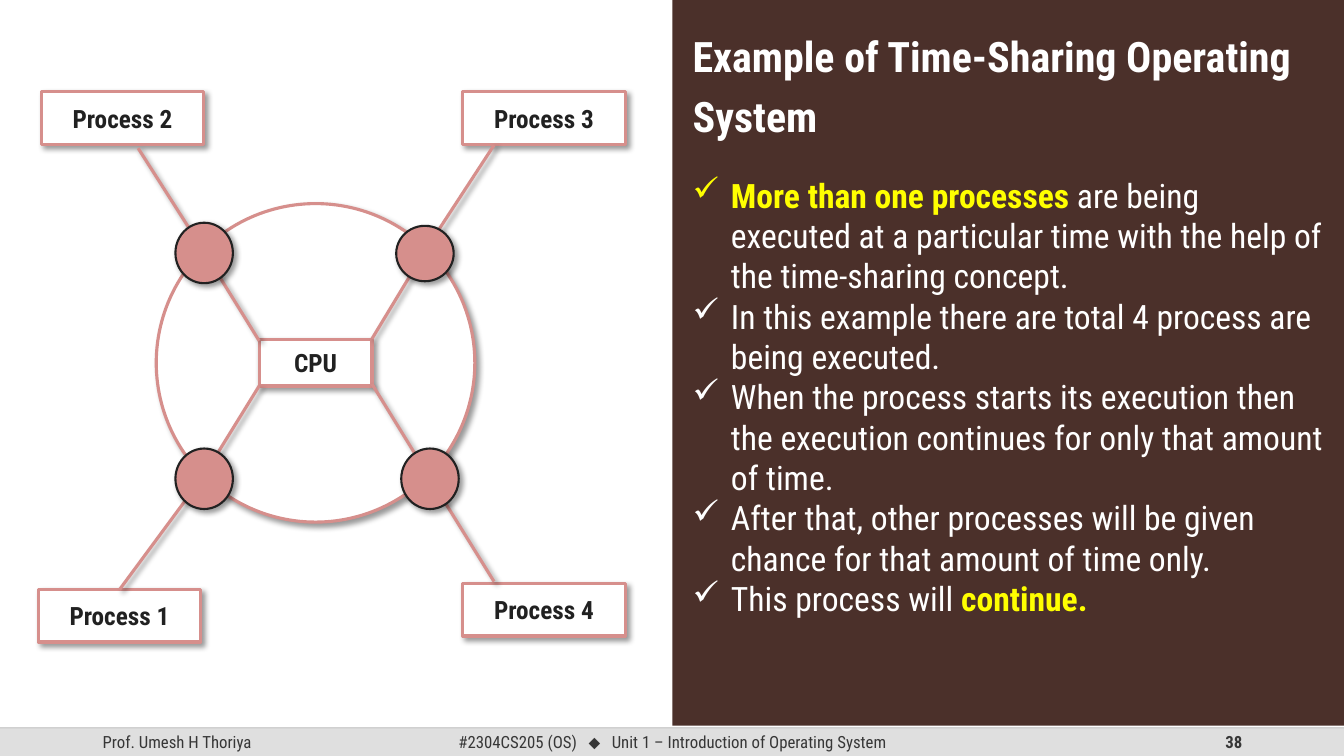
from collections import namedtuple

from lxml.etree import SubElement
from pptx import Presentation
from pptx.dml.color import RGBColor
from pptx.enum.shapes import MSO_CONNECTOR as Connector, MSO_SHAPE as Shape
from pptx.enum.text import MSO_ANCHOR as Anchor, PP_ALIGN as Align
from pptx.oxml.ns import qn
from pptx.util import Inches, Pt

Process = namedtuple("Process", "name corner link_start joint node node_height cpu_corner")

PROCESSES = [
    Process("Process 1", (0.38, 5.85), (1.18, 5.85), (2.02, 4.72), (1.74, 4.45), 0.6, (2.57, 3.83)),
    Process("Process 2", (0.41, 0.91), (1.37, 1.47), (2.02, 2.49), (1.74, 2.21), 0.6, (2.57, 3.38)),
    Process("Process 3", (4.59, 0.91), (4.9, 1.44), (4.24, 2.45), (3.93, 2.24), 0.55, (3.69, 3.36)),
    Process("Process 4", (4.59, 5.79), (4.9, 5.77), (4.25, 4.72), (3.98, 4.45), 0.6, (3.69, 3.81)),
]

TITLE = "Example of Time-Sharing Operating System"
POINTS = [
    [("More than one processes", True),
     (" are being executed at a particular time with the help of the time-sharing concept.", False)],
    [("In this example there are total 4 process are being executed.", False)],
    [("When the process starts its execution then the execution continues "
      "for only that amount of time.", False)],
    [("After that, other processes will be given chance for that amount of time only.", False)],
    [("This process will ", False), ("continue.", True)],
]


def color(hex_value):
    return RGBColor.from_string(hex_value)


class Deck:
    font = "Roboto Condensed"
    white, dark, gray = "FFFFFF", "212121", "373737"
    rose, brown, yellow = "D68F8C", "4B302A", "FFFF00"

    def __init__(self):
        self.presentation = Presentation()
        self.presentation.slide_width = Inches(13.33)
        self.presentation.slide_height = Inches(7.5)
        self.slide = self.presentation.slides.add_slide(self.presentation.slide_layouts[6])

    def style(self, run, size, hex_value, bold=False, font=None):
        run.font.name = font or self.font
        run.font.size = Pt(size)
        run.font.bold = bold
        run.font.color.rgb = color(hex_value)

    def cast_shadow(self, item):
        effects = SubElement(item._element.spPr, qn("a:effectLst"))
        shadow = SubElement(effects, qn("a:outerShdw"), blurRad=str(Pt(4)), dist=str(Pt(3)),
                            dir="2700000", algn="tl", rotWithShape="0")
        black = SubElement(shadow, qn("a:srgbClr"), val="000000")
        SubElement(black, qn("a:alpha"), val="40000")

    def block(self, kind, corner, size, fill, outline=None, weight=2.25):
        block = self.slide.shapes.add_shape(kind, *map(Inches, corner + size))
        block.fill.solid()
        block.fill.fore_color.rgb = color(fill)
        if outline:
            block.line.color.rgb = color(outline)
            block.line.width = Pt(weight)
            self.cast_shadow(block)
        else:
            block.line.fill.background()
            block.shadow.inherit = False
        return block

    def labelled_box(self, label, corner, size):
        box = self.block(Shape.RECTANGLE, corner, size, self.white, self.rose)
        frame = box.text_frame
        frame.text = label
        frame.vertical_anchor = Anchor.MIDDLE
        frame.paragraphs[0].alignment = Align.CENTER
        self.style(frame.paragraphs[0].runs[0], 18, self.dark, bold=True)
        return box

    def line(self, start, end, hex_value, weight):
        line = self.slide.shapes.add_connector(Connector.STRAIGHT, *map(Inches, start + end))
        line.line.color.rgb = color(hex_value)
        line.line.width = Pt(weight)
        return line

    def link(self, start, end):
        link = self.line(start, end, self.rose, 2.25)
        self.cast_shadow(link)
        return link

    def footer_rule(self):
        rule = self.line((0, 7.22), (13.33, 7.22), "BFBFBF", 1)
        tint = rule._element.spPr.find(".//" + qn("a:srgbClr"))
        SubElement(tint, qn("a:alpha"), val="70000")
        SubElement(rule._element.spPr, qn("a:effectLst"))

    def footer_text(self, left, width, align, parts, bold=False):
        box = self.slide.shapes.add_textbox(Inches(left), Inches(7.22), Inches(width), Inches(0.28))
        frame = box.text_frame
        frame.word_wrap = True
        frame.vertical_anchor = Anchor.MIDDLE
        paragraph = frame.paragraphs[0]
        paragraph.alignment = align
        for part in parts:
            run = paragraph.add_run()
            run.text = part
            self.style(run, 12, self.gray, bold, "Arial" if part == "⬥" else None)
            if part == " ":
                run.font._element.set("spc", "540")

    def bullet(self, paragraph, parts):
        properties = paragraph._p.get_or_add_pPr()
        properties.set("marL", str(Inches(0.38)))
        properties.set("indent", str(-Inches(0.38)))
        SubElement(properties, qn("a:buChar"), char="✓")
        paragraph.alignment = Align.LEFT
        for text, highlighted in parts:
            run = paragraph.add_run()
            run.text = text
            self.style(run, 24, self.yellow if highlighted else self.white, highlighted)

    def explanation(self, title, points):
        panel = self.block(Shape.RECTANGLE, (6.67, 0), (6.67, 7.2), self.brown)
        frame = panel.text_frame
        frame.word_wrap = True
        frame.vertical_anchor = Anchor.TOP
        frame.margin_left = frame.margin_right = Inches(0.2)
        frame.margin_top = frame.margin_bottom = Inches(0.2)
        frame.text = title
        heading = frame.paragraphs[0]
        heading.alignment = Align.LEFT
        heading.line_spacing = 1.2
        self.style(heading.runs[0], 30, self.white, bold=True)
        for parts in points:
            self.bullet(frame.add_paragraph(), parts)
        frame.paragraphs[1].space_before = Pt(24)


def main():
    deck = Deck()
    deck.block(Shape.RECTANGLE, (0, 7.22), (13.33, 0.28), "DFDFDF")
    deck.footer_text(0.92, 3, Align.LEFT, ["Prof. Umesh H Thoriya"])
    deck.footer_text(4.42, 4.5, Align.CENTER, ["#2304CS205 (OS)", " ", "⬥", " ",
                                               "Unit 1 – Introduction of Operating System"])
    deck.footer_text(9.42, 3, Align.RIGHT, ["38"], bold=True)
    deck.footer_rule()
    deck.explanation(TITLE, POINTS)

    deck.block(Shape.OVAL, (1.55, 2.02), (3.16, 3.16), deck.white, deck.rose)
    deck.labelled_box("CPU", (2.57, 3.37), (1.12, 0.46))
    for process in PROCESSES:
        process_box = deck.labelled_box(process.name, process.corner, (1.61, 0.52))
        deck.link(process.joint, process.cpu_corner)
        process_link = deck.link(process.link_start, process.joint)
        if process.name == "Process 1":
            process_link.begin_connect(process_box, 0)
        deck.block(Shape.OVAL, process.node, (0.57, process.node_height), deck.rose, deck.dark, 1.5)

    deck.presentation.save("out.pptx")


if __name__ == "__main__":
    main()
